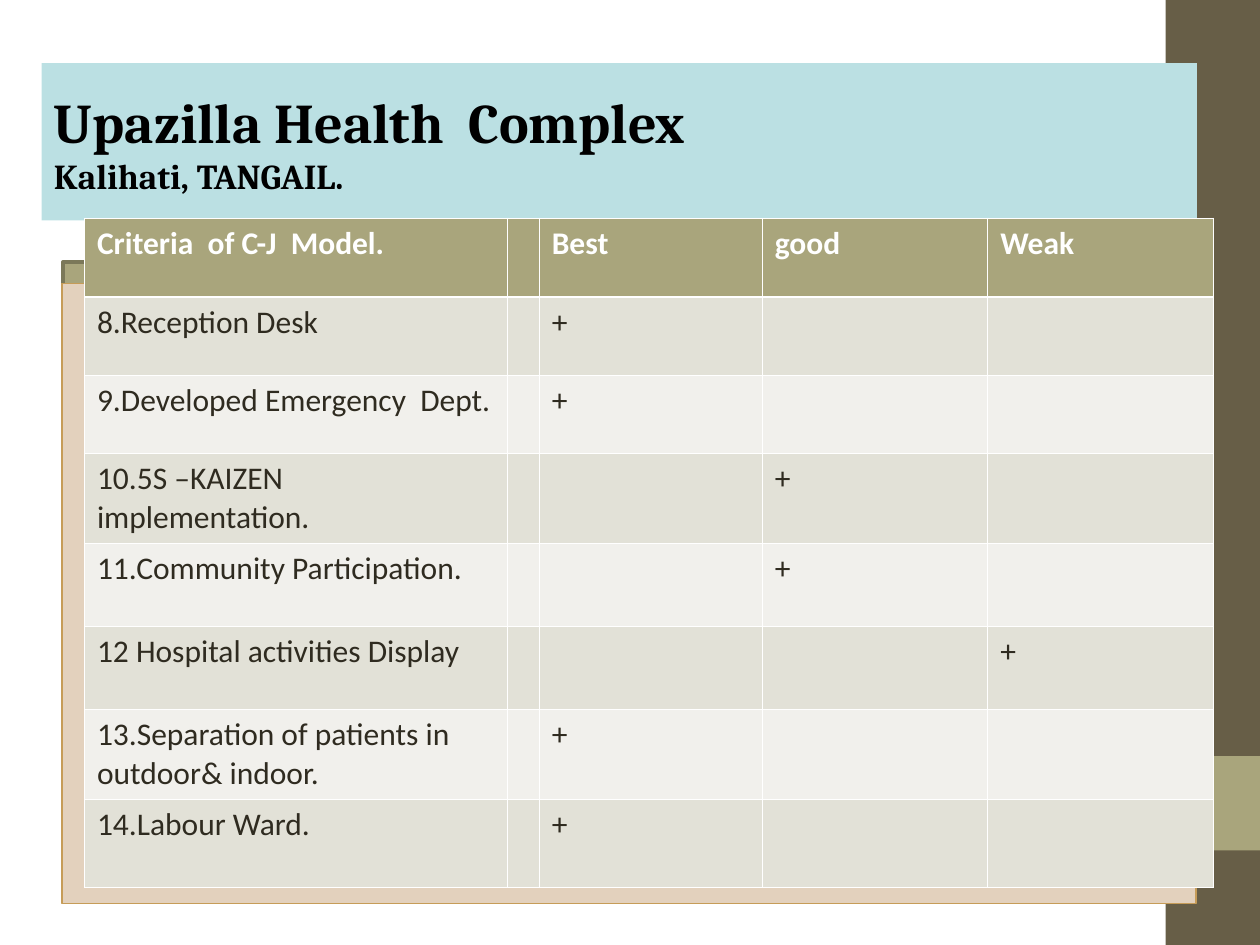
from lxml import etree
from pptx import Presentation
from pptx.dml.color import RGBColor
from pptx.enum.shapes import MSO_SHAPE
from pptx.enum.text import MSO_ANCHOR, PP_ALIGN
from pptx.oxml.ns import qn
from pptx.util import Inches, Pt

RECTANGLE = MSO_SHAPE.RECTANGLE
MIDDLE = MSO_ANCHOR.MIDDLE
LEFT = PP_ALIGN.LEFT

COLORS = {
    "brown": "675E47", "olive": "A9A57C", "olive_edge": "7B7859",
    "title": "BBE0E3", "sand": "E3D1BD", "sand_edge": "C69C58",
    "band_dark": "E2E1D7", "band_light": "F1F0EC",
    "ink": "2F2B20", "black": "000000", "white": "FFFFFF",
}


def color(name):
    return RGBColor.from_string(COLORS[name])


def write(para, text, size=18, font="Calibri", ink="ink", bold=False):
    span = para.add_run()
    span.text = text
    span.font.size = Pt(size)
    span.font.name = font
    span.font.bold = bold
    span.font.color.rgb = color(ink)


deck = Presentation()
deck.slide_width, deck.slide_height = Inches(10), Inches(7.5)
page = deck.slides.add_slide(deck.slide_layouts[6])

# Side bar, title band and panels, from back to front
panels = [
    (9.25, 0, 0.75, 7.5, "brown", None, 0),
    (9.25, 6, 0.75, 0.75, "olive", None, 0),
    (0.5, 2.08, 9, 4.92, "olive", "olive_edge", 2),
    (0.33, 0.5, 9.17, 1.25, "title", None, 0),
    (0.49, 2.25, 9, 4.92, "sand", "sand_edge", 1),
]
for left, top, width, height, fill, edge, weight in panels:
    box = page.shapes.add_shape(
        RECTANGLE, Inches(left), Inches(top), Inches(width), Inches(height))
    box.shadow.inherit = False
    box.fill.solid()
    box.fill.fore_color.rgb = color(fill)
    if edge:
        box.line.color.rgb = color(edge)
        box.line.width = Pt(weight)
    else:
        box.line.fill.background()
    if fill == "title":
        title = box

# Title text
title.text_frame.word_wrap = True
title.text_frame.vertical_anchor = MIDDLE
para = title.text_frame.paragraphs[0]
para.alignment = LEFT
write(para, "Upazilla Health  Complex", size=32, font="Cambria", ink="black", bold=True)
para.add_line_break()
write(para, "Kalihati, TANGAIL.", size=20, font="Cambria", ink="black", bold=True)

# Rating table: each criterion carries one mark
ratings = ["Best", "good", "Weak"]
criteria = [
    ("8.Reception Desk", "Best"),
    ("9.Developed Emergency  Dept.", "Best"),
    ("10.5S –KAIZEN implementation.", "good"),
    ("11.Community Participation.", "good"),
    ("12 Hospital activities Display", "Weak"),
    ("13.Separation of patients in outdoor& indoor.", "Best"),
    ("14.Labour Ward.", "Best"),
]
rows = [["Criteria  of C-J  Model.", "", *ratings]]
for name, mark in criteria:
    rows.append([name, "", *("+" if rating == mark else "" for rating in ratings)])

column_widths = [3.36, 0.25, 1.77, 1.79, 1.79]
row_heights = [0.63, 0.62, 0.62, 0.7, 0.66, 0.66, 0.7, 0.7]
table = page.shapes.add_table(
    len(rows), len(column_widths), Inches(0.67), Inches(1.73),
    Inches(sum(column_widths)), Inches(sum(row_heights))).table
for column, width in zip(table.columns, column_widths):
    column.width = Inches(width)
for row, height in zip(table.rows, row_heights):
    row.height = Inches(height)

for row_index, texts in enumerate(rows):
    header = row_index == 0
    band = "olive" if header else ("band_light", "band_dark")[row_index % 2]
    for column_index, text in enumerate(texts):
        cell = table.cell(row_index, column_index)
        if text:
            write(cell.text_frame.paragraphs[0], text,
                  ink="white" if header else "ink", bold=header)

        # White borders, heavier between the header and the first row
        properties = cell._tc.get_or_add_tcPr()
        for side in ("lnL", "lnR", "lnT", "lnB"):
            heavy = (row_index, side) in ((0, "lnB"), (1, "lnT"))
            border = etree.SubElement(
                properties, qn(f"a:{side}"), w=str(Pt(1.47 if heavy else 0.45)))
            paint = etree.SubElement(border, qn("a:solidFill"))
            etree.SubElement(paint, qn("a:srgbClr"), val=COLORS["white"])
        cell.fill.solid()
        cell.fill.fore_color.rgb = color(band)

deck.save("out.pptx")
